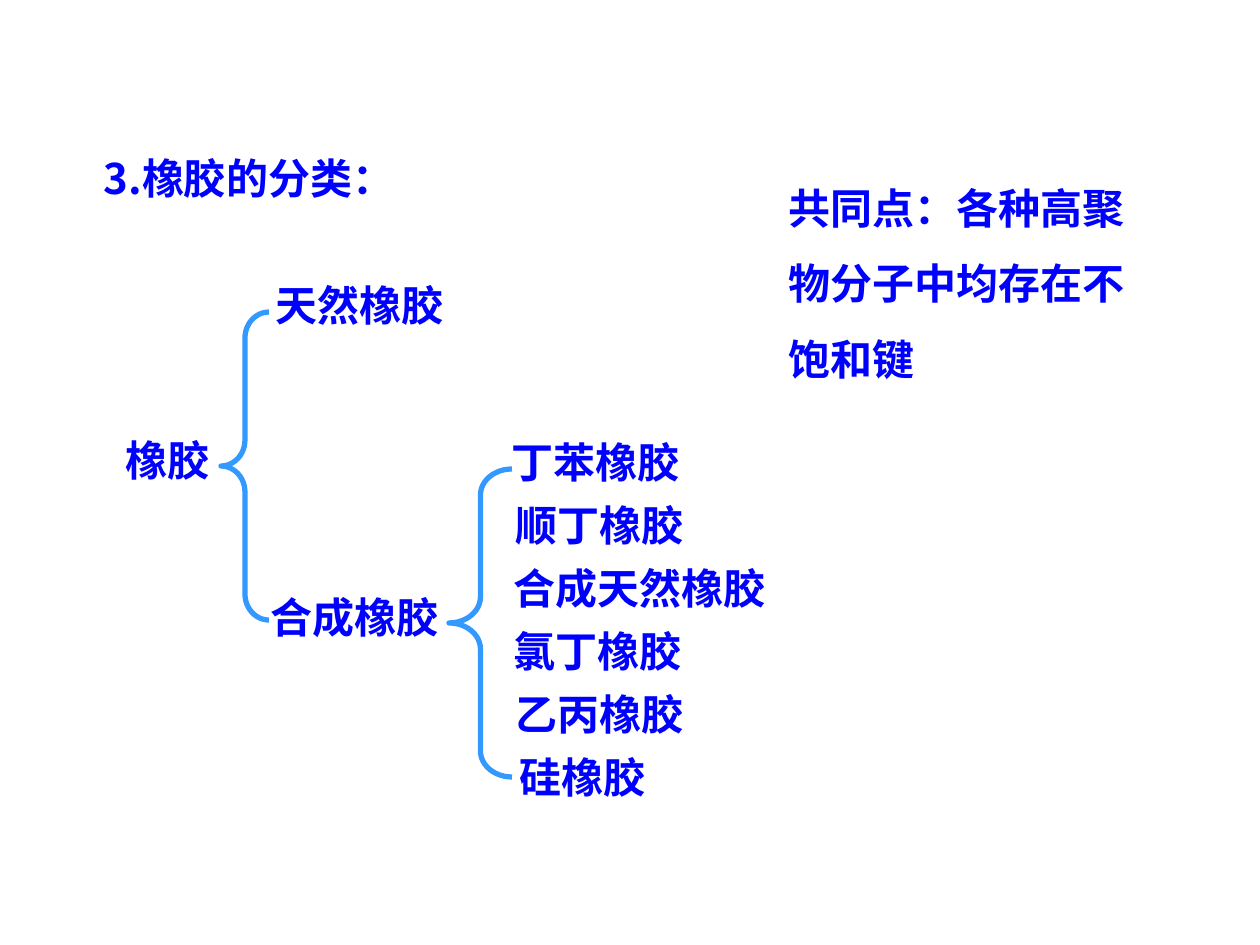
import pptx
import pptx.util
import pptx.dml.color
import pptx.enum.shapes
import pptx.enum.text
from lxml import etree
from dataclasses import dataclass


@dataclass(frozen=True)
class Theme:
    font: str = "Noto Sans CJK SC"
    text: str = "0000FF"
    brace: str = "3399FF"
    size: int = 24
    brace_width: int = 3


THEME = Theme()
PX = 914400 / 126
LINE_HEIGHT = 63
BRACE_RADIUS = 26

# Boxes are left, top, width, height in px.
TITLE = ("3.橡胶的分类：", (91, 146, 466, LINE_HEIGHT))
COMMON_POINT = (["共同点：各种高聚", "物分子中均存在不", "饱和键"], (776, 151, 418, 239))
BRANCHES = [
    ("橡胶", (113, 428, 289, LINE_HEIGHT)),
    ("天然橡胶", (263, 273, 397, LINE_HEIGHT)),
    ("合成橡胶", (258, 585, 397, LINE_HEIGHT)),
]
SYNTHETIC_TOP = 430
SYNTHETIC = [  # name, left, width
    ("丁苯橡胶", 499, 397),
    ("顺丁橡胶", 503, 397),
    ("合成天然橡胶", 501, 515),
    ("氯丁橡胶", 501, 397),
    ("乙丙橡胶", 503, 397),
    ("硅橡胶", 507, 397),
]
BRACES = [(221, 312, 48, 308), (449, 469, 63, 308)]


def emu(box):
    return [pptx.util.Emu(round(length * PX)) for length in box]


def write(shape, lines, line_spacing=1.0):
    frame = shape.text_frame
    frame.text = "\n".join(lines)
    frame.word_wrap = True
    frame.auto_size = pptx.enum.text.MSO_AUTO_SIZE.NONE
    frame.vertical_anchor = pptx.enum.text.MSO_ANCHOR.TOP
    for paragraph in frame.paragraphs:
        paragraph.alignment = pptx.enum.text.PP_ALIGN.LEFT
        paragraph.line_spacing = line_spacing
        for run in paragraph.runs:
            run.font.name = THEME.font
            run.font.size = pptx.util.Pt(THEME.size)
            run.font.bold = True
            run.font.color.rgb = pptx.dml.color.RGBColor.from_string(THEME.text)
            east_asian = etree.SubElement(
                run.font._element, pptx.oxml.ns.qn("a:ea"))
            east_asian.set("typeface", THEME.font)


def add_label(slide, lines, box, line_spacing=1.0):
    write(slide.shapes.add_textbox(*emu(box)), lines, line_spacing)


def add_brace(slide, box):
    brace = slide.shapes.add_shape(
        pptx.enum.shapes.MSO_SHAPE.LEFT_BRACE, *emu(box))
    brace.adjustments[0] = BRACE_RADIUS / min(box[2:])
    brace.adjustments[1] = 0.5
    brace.shadow.inherit = False
    brace.fill.background()
    brace.line.color.rgb = pptx.dml.color.RGBColor.from_string(THEME.brace)
    brace.line.width = pptx.util.Pt(THEME.brace_width)


def main():
    deck = pptx.Presentation()
    deck.slide_width = pptx.util.Inches(10)
    deck.slide_height = pptx.util.Inches(7.5)
    slide = deck.slides.add_slide(deck.slide_layouts[5])

    heading, heading_box = TITLE
    title = slide.shapes.title
    title.left, title.top, title.width, title.height = emu(heading_box)
    write(title, [heading])

    for box in BRACES:
        add_brace(slide, box)
    for name, box in BRANCHES:
        add_label(slide, [name], box)
    for row, (name, left, width) in enumerate(SYNTHETIC):
        top = SYNTHETIC_TOP + row * LINE_HEIGHT
        add_label(slide, [name], (left, top, width, LINE_HEIGHT))
    add_label(slide, *COMMON_POINT, line_spacing=1.5)

    deck.save("out.pptx")


if __name__ == "__main__":
    main()
